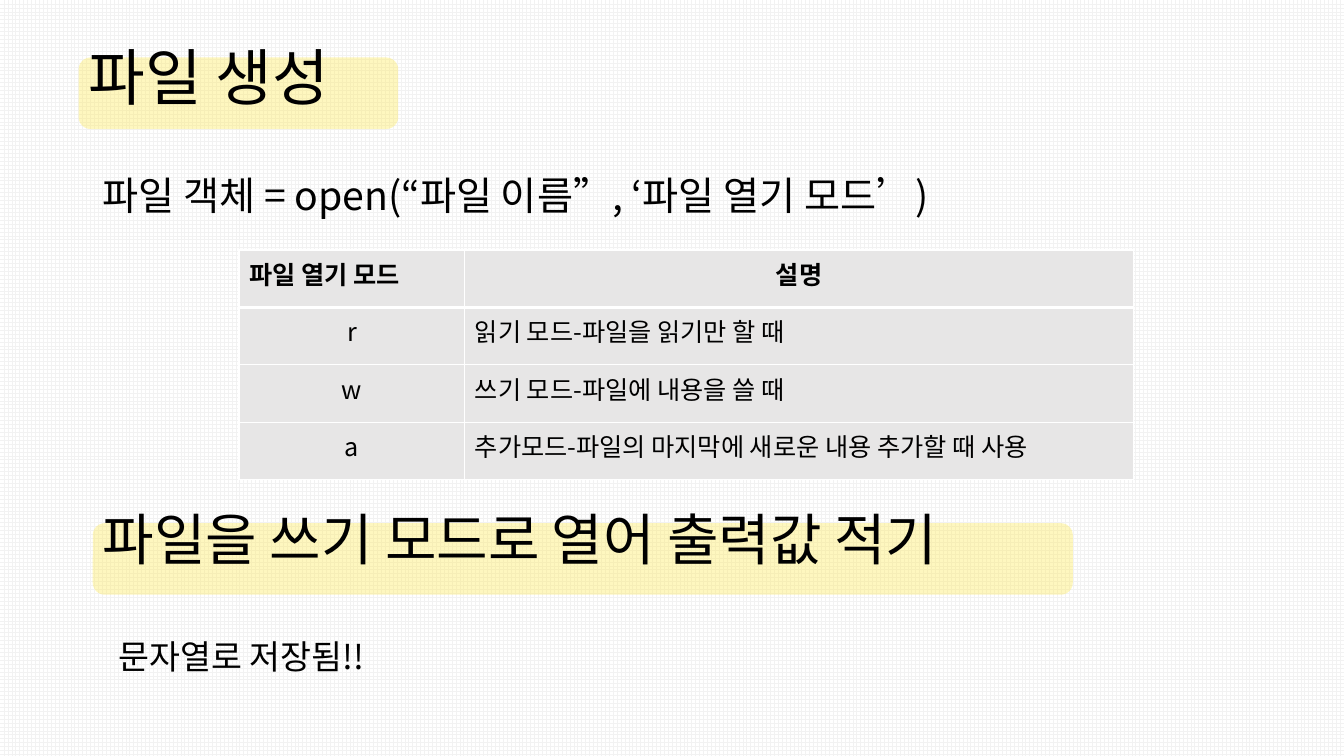
from lxml.etree import SubElement
from pptx import Presentation
from pptx.dml.color import RGBColor
from pptx.enum.dml import MSO_PATTERN
from pptx.enum.shapes import MSO_SHAPE
from pptx.enum.text import MSO_ANCHOR, MSO_AUTO_SIZE, PP_ALIGN
from pptx.oxml.ns import qn
from pptx.util import Inches, Pt

FONT = "Noto Sans CJK KR"
COLORS = {"text": "000000", "band": "FEEA58", "cell": "E7E6E6", "grid": "F2F2F2", "white": "FFFFFF"}
MODES = [
    ("파일 열기 모드", "설명"),
    ("r", "읽기 모드-파일을 읽기만 할 때"),
    ("w", "쓰기 모드-파일에 내용을 쓸 때"),
    ("a", "추가모드-파일의 마지막에 새로운 내용 추가할 때 사용"),
]


def color(name):
    return RGBColor.from_string(COLORS[name])


def write(frame, text, size, bold=False, align=PP_ALIGN.LEFT, spacing=1.0, before=0):
    frame.text = text
    para = frame.paragraphs[0]
    para.alignment = align
    para.line_spacing = spacing
    para.space_before = Pt(before)
    for span in para.runs:
        span.font.size = Pt(size)
        span.font.bold = bold
        span.font.color.rgb = color("text")
        span.font.name = FONT
        SubElement(span._r.get_or_add_rPr(), qn("a:ea"), typeface=FONT)


def place(shape, box):
    shape.left, shape.top, shape.width, shape.height = map(Inches, box)


def add_text(page, box, text, size, anchor=MSO_ANCHOR.TOP, wrap=True, **style):
    label = page.shapes.add_textbox(*map(Inches, box))
    label.text_frame.word_wrap = wrap
    label.text_frame.vertical_anchor = anchor
    write(label.text_frame, text, size, **style)
    return label


def add_band(page, box):
    band = page.shapes.add_shape(MSO_SHAPE.ROUNDED_RECTANGLE, *map(Inches, box))
    band.shadow.inherit = False
    band.fill.solid()
    band.fill.fore_color.rgb = color("band")
    band.line.fill.background()
    tint = band.fill._xPr.find(".//" + qn("a:srgbClr"))
    SubElement(tint, qn("a:alpha"), val="38000")
    return band


def add_title(page, box, band_width):
    left, top, width, height = box
    title = page.shapes.title
    place(title, box)
    band = add_band(page, (left, top + 0.5, band_width, 0.71))
    title.element.addprevious(band.element)
    frame = title.text_frame
    frame.word_wrap = True
    frame.auto_size = MSO_AUTO_SIZE.NONE
    frame.vertical_anchor = MSO_ANCHOR.MIDDLE
    write(frame, "파일 생성", 44, spacing=0.9)


def add_subheading(page, box, band_width):
    left, top, width, height = box
    add_band(page, (left, top + 0.25, band_width, 0.71))
    add_text(page, box, "파일을 쓰기 모드로 열어 출력값 적기", 40, MSO_ANCHOR.MIDDLE, spacing=0.9)


def border_cell(cell, widths):
    props = cell._tc.get_or_add_tcPr()
    for side, width in widths.items():
        line = SubElement(props, qn("a:ln" + side), w=str(Pt(width)))
        SubElement(SubElement(line, qn("a:solidFill")), qn("a:srgbClr"), val=COLORS["white"])


def add_mode_table(page, box, first_width):
    left, top, width, height = box
    table = page.shapes.add_table(len(MODES), 2, *map(Inches, box)).table
    table.horz_banding = False
    table.columns[0].width = Inches(first_width)
    table.columns[1].width = Inches(width - first_width)
    for row, texts in enumerate(MODES):
        header = row == 0
        table.rows[row].height = Inches(height / len(MODES))
        for column, text in enumerate(texts):
            cell = table.cell(row, column)
            border_cell(cell, {"L": 1, "R": 1, "T": 3 if row == 1 else 1, "B": 3 if header else 1})
            cell.fill.solid()
            cell.fill.fore_color.rgb = color("cell")
            centred = header == (column == 1)
            write(cell.text_frame, text, 18, header, PP_ALIGN.CENTER if centred else PP_ALIGN.LEFT)


def build_page(deck):
    page = deck.slides.add_slide(deck.slide_layouts[5])
    backdrop = page.background.fill
    backdrop.patterned()
    backdrop.pattern = MSO_PATTERN.LARGE_GRID
    backdrop.fore_color.rgb = color("grid")
    backdrop.back_color.rgb = color("white")
    add_title(page, (0.78, 0.07, 11.5, 1.45), 3.17)
    add_text(page, (0.92, 1.7, 11.5, 4.76), "파일 객체 = open(“파일 이름”, ‘파일 열기 모드’)", 28,
             spacing=0.9, before=10)
    add_mode_table(page, (2.37, 2.48, 8.87, 2.28), 2.24)
    add_subheading(page, (0.92, 4.94, 11.5, 0.88), 9.72)
    note = add_text(page, (1.08, 6.26, 2.87, 0.5), "문자열로 저장됨!!", 24, wrap=False)
    note.text_frame.auto_size = MSO_AUTO_SIZE.SHAPE_TO_FIT_TEXT


deck = Presentation()
deck.slide_width, deck.slide_height = Inches(13.33), Inches(7.5)
build_page(deck)
deck.save("out.pptx")
